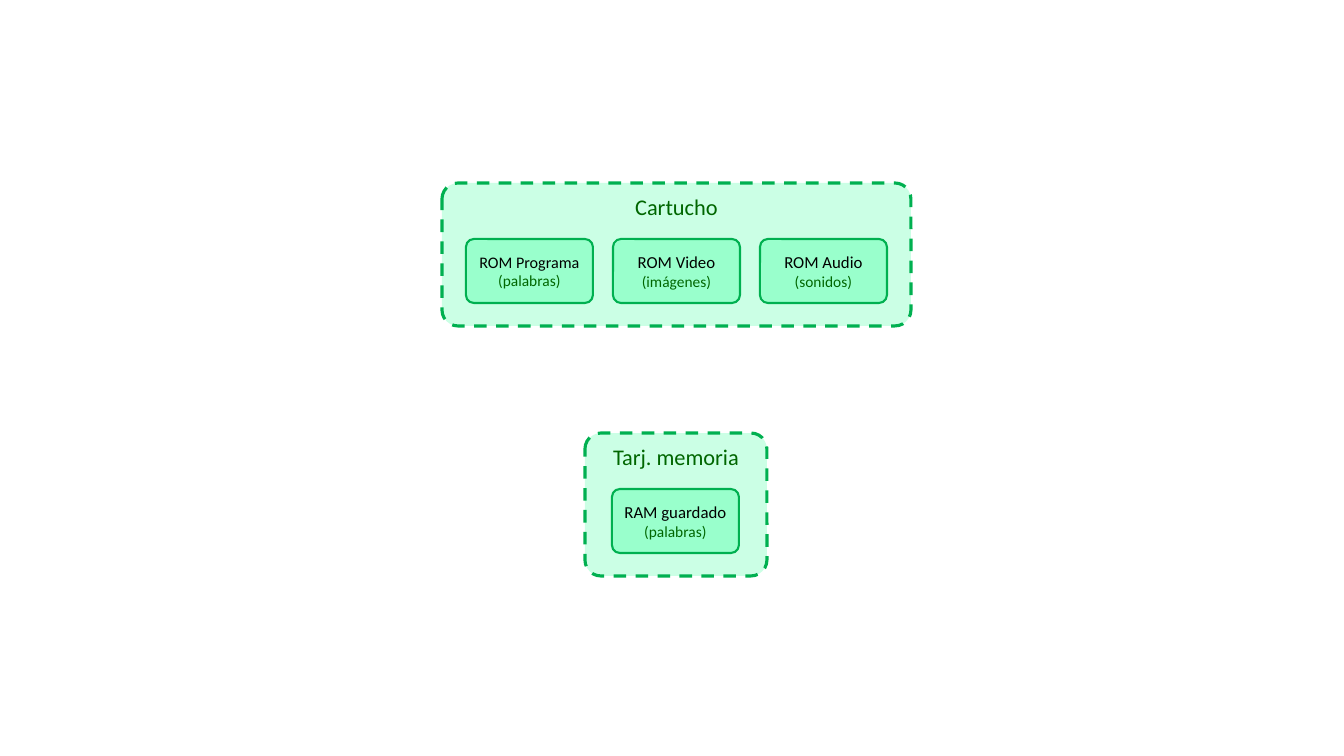
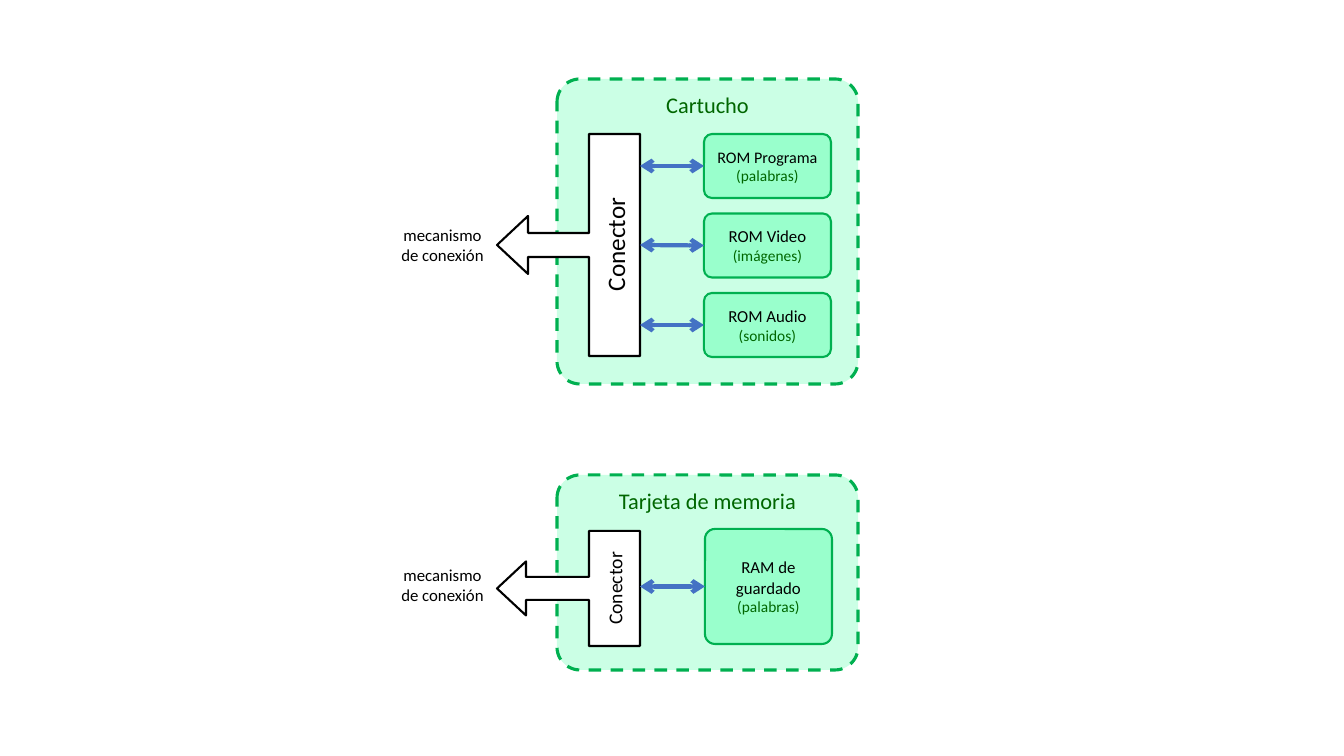
from dataclasses import dataclass

from lxml.etree import SubElement
from pptx import Presentation
from pptx.dml.color import RGBColor
from pptx.enum.dml import MSO_LINE
from pptx.enum.shapes import MSO_CONNECTOR, MSO_SHAPE
from pptx.enum.text import MSO_ANCHOR, PP_ALIGN
from pptx.oxml.ns import qn
from pptx.util import Pt


@dataclass(frozen=True)
class Theme:
    font: str = "Calibri"
    mint: str = "99FFCC"
    green: str = "00B050"
    dark_green: str = "006600"
    black: str = "000000"
    white: str = "FFFFFF"
    blue: str = "4472C4"
    title_size: float = 16
    memory_size: float = 12
    tight_size: float = 11.5
    content_size: float = 11
    panel_line: float = 2.25
    shape_line: float = 1.5
    arrow_line: float = 3


@dataclass(frozen=True)
class Box:
    left: int
    top: int
    width: int
    height: int

    def inner(self, left, top, width, height):
        return Box(self.left + left, self.top + top, width, height)

    def emu(self):
        return [px(value) for value in (self.left, self.top, self.width, self.height)]


THEME = Theme()
EMU_PER_PX = 914400 / 100.8
CHIP_WIDTH, CHIP_HEIGHT = 127, 64
ROMS = [
    ("ROM Programa", "(palabras)", THEME.tight_size),
    ("ROM Video", "(imágenes)", THEME.memory_size),
    ("ROM Audio", "(sonidos)", THEME.memory_size),
]


def px(value):
    return round(value * EMU_PER_PX)


def set_attributes(target, values):
    for name, value in values.items():
        setattr(target, name, value)


def write_text(shape, lines, anchor=MSO_ANCHOR.TOP, **frame_values):
    frame = shape.text_frame
    set_attributes(frame, {"word_wrap": True, "vertical_anchor": anchor, **frame_values})
    for index, (text, size, color) in enumerate(lines):
        paragraph = frame.add_paragraph() if index else frame.paragraphs[0]
        paragraph.alignment = PP_ALIGN.CENTER
        run = paragraph.add_run()
        run.text = text
        set_attributes(run.font, {"name": THEME.font, "size": Pt(size)})
        run.font.color.rgb = RGBColor.from_string(color)


def add_box(slide, kind, box, fill, line, line_width, adjustments):
    shape = slide.shapes.add_shape(kind, *box.emu())
    shape.shadow.inherit = False
    shape.fill.solid()
    shape.fill.fore_color.rgb = RGBColor.from_string(fill)
    shape.line.color.rgb = RGBColor.from_string(line)
    shape.line.width = Pt(line_width)
    for index, value in enumerate(adjustments):
        shape.adjustments[index] = value
    return shape


def add_rounded(slide, box, line_width, radius):
    return add_box(slide, MSO_SHAPE.ROUNDED_RECTANGLE, box, THEME.mint, THEME.green,
                   line_width, [radius / min(box.width, box.height)])


def add_panel(slide, box, title, radius):
    panel = add_rounded(slide, box, THEME.panel_line, radius)
    panel.line.dash_style = MSO_LINE.DASH
    fill_color = panel.fill._xPr.find(qn("a:solidFill"))[0]
    SubElement(fill_color, qn("a:alpha"), val="50000")
    write_text(panel, [(title, THEME.title_size, THEME.dark_green)])


def add_chip(slide, box, memory, radius=8):
    name, content, size = memory
    chip = add_rounded(slide, box, THEME.shape_line, radius)
    write_text(chip, [(name, size, THEME.black),
                      (content, THEME.content_size, THEME.dark_green)],
               MSO_ANCHOR.MIDDLE, margin_left=px(6), margin_right=px(6))
    return chip


def add_label(slide, box, text, size, anchor=MSO_ANCHOR.TOP, rotation=0):
    label = slide.shapes.add_textbox(*box.emu())
    label.rotation = rotation
    write_text(label, [(text, size, THEME.black)], anchor)


def add_link(slide, callout, chip):
    right = callout.left + callout.width
    middle = chip.top + chip.height // 2
    link = slide.shapes.add_connector(MSO_CONNECTOR.STRAIGHT, right, middle, chip.left, middle)
    if abs(callout.top + callout.height // 2 - middle) < px(1):
        link.begin_connect(callout, 3)
    link.end_connect(chip, 1)
    link.line.color.rgb = RGBColor.from_string(THEME.blue)
    link.line.width = Pt(THEME.arrow_line)
    line = link.line._get_or_add_ln()
    for end in ("a:headEnd", "a:tailEnd"):
        SubElement(line, qn(end), type="arrow")
    SubElement(link._element.spPr, qn("a:effectLst"))


def add_callout(slide, box, text_size, arrow):
    body = 51
    short_side = min(box.width, box.height)
    adjustments = [length / short_side for length in arrow] + [body / box.width]
    callout = add_box(slide, MSO_SHAPE.LEFT_ARROW_CALLOUT, box, THEME.white, THEME.black,
                      THEME.shape_line, adjustments)
    text_left = box.width - (body + box.height) // 2
    text_top = (box.height - body) // 2
    add_label(slide, box.inner(text_left, text_top, box.height, body), "Conector",
              text_size, MSO_ANCHOR.MIDDLE, 270)
    return callout


def memory_row(slide, box, title, memories, margin):
    add_panel(slide, box, title, 16)
    for index, memory in enumerate(memories):
        add_chip(slide, box.inner(margin + index * 147, 56, CHIP_WIDTH, CHIP_HEIGHT), memory)


def connected_unit(slide, box, title, memories, chip_box, chip_radius, callout_box,
                   text_size, arrow, label_top):
    add_panel(slide, box, title, 23)
    callout = add_callout(slide, box.inner(*callout_box), text_size, arrow)
    left, top, width, height = chip_box
    for index, memory in enumerate(memories):
        chip_place = box.inner(left, top + index * 79.5, width, height)
        add_link(slide, callout, add_chip(slide, chip_place, memory, chip_radius))
    add_label(slide, box.inner(-170, label_top, 111, 50), "mecanismo de conexión",
              THEME.memory_size)


def build_overview(slide):
    memory_row(slide, Box(442, 183, 469, 143), "Cartucho", ROMS, 24)
    memory_row(slide, Box(585, 433, 182, 143), "Tarj. memoria",
               [("RAM guardado", "(palabras)", THEME.memory_size)], 27)


def build_connections(slide):
    connected_unit(slide, Box(557, 79, 301, 305), "Cartucho", ROMS,
                   (147, 55, CHIP_WIDTH, CHIP_HEIGHT), 8,
                   (-60, 55, 143, 222), 18, (24, 29, 31), 141)
    connected_unit(slide, Box(557, 475, 301, 195), "Tarjeta de memoria",
                   [("RAM de guardado", "(palabras)", THEME.memory_size)],
                   (148, 54, CHIP_WIDTH, 115), 10,
                   (-60, 56, 143, 115), 14, (23, 27, 29), 85)


def main():
    presentation = Presentation()
    set_attributes(presentation, {"slide_width": px(1344), "slide_height": px(756)})
    for build in (build_overview, build_connections):
        build(presentation.slides.add_slide(presentation.slide_layouts[6]))
    presentation.save("out.pptx")


if __name__ == "__main__":
    main()
